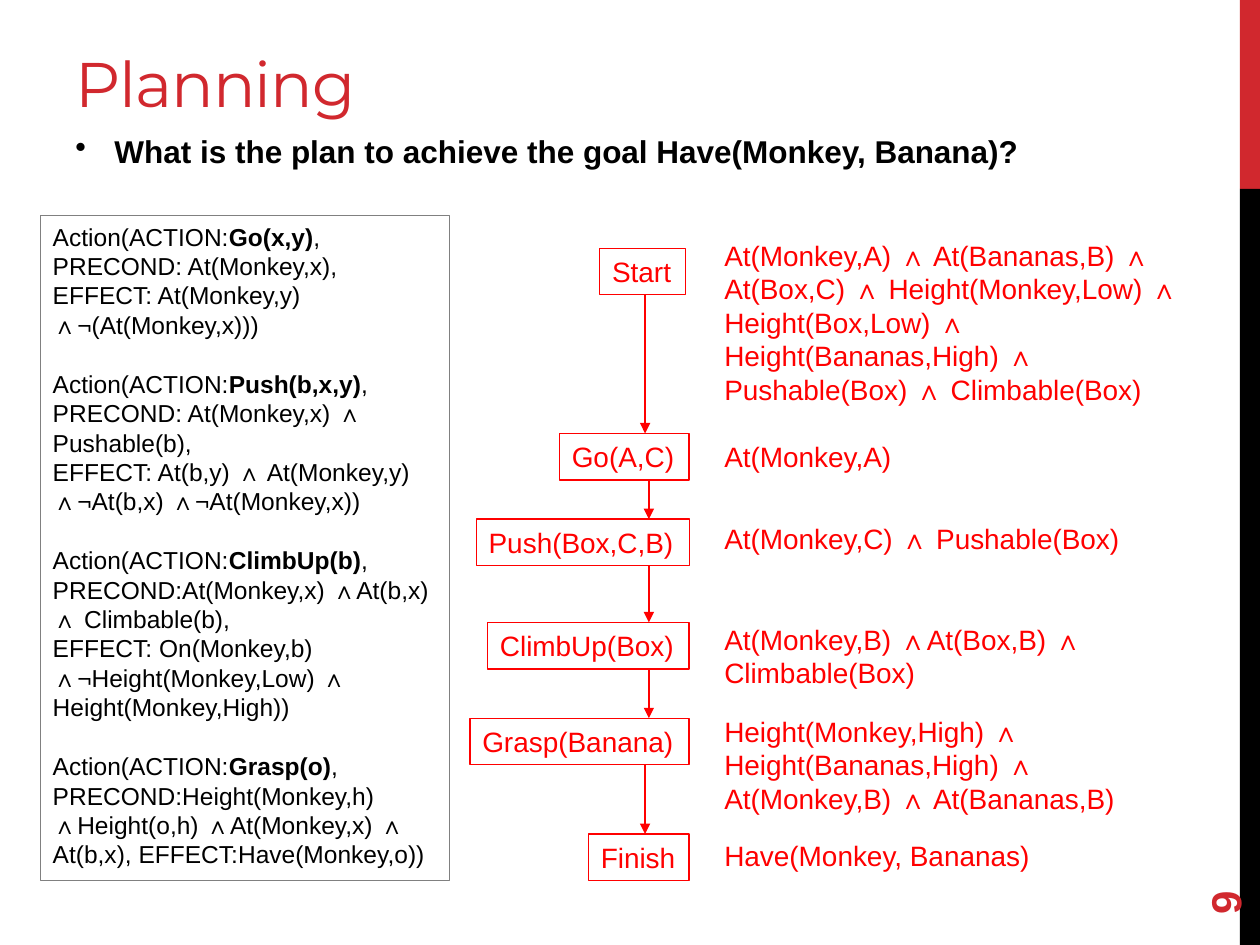
from dataclasses import dataclass
from lxml.etree import SubElement as sub
from pptx import Presentation
from pptx.dml.color import RGBColor as RGB
from pptx.enum.shapes import MSO_CONNECTOR as LINK, MSO_SHAPE as SHAPE
from pptx.enum.text import MSO_ANCHOR as ANCHOR, PP_ALIGN as ALIGN
from pptx.oxml.ns import qn
from pptx.util import Inches, Pt


@dataclass(frozen=True)
class Theme:
    accent: RGB = RGB(0xD1, 0x28, 0x2E)
    plan: RGB = RGB(0xFF, 0, 0)
    ink: RGB = RGB(0, 0, 0)
    frame: RGB = RGB(0x80, 0x80, 0x80)
    font: str = "Arial"
    title_font: str = "Montserrat"
    title: int = 36
    number: int = 24
    question: int = 18
    step: int = 16
    action: int = 14
    leading: float = 1.2


theme = Theme()
deck = Presentation()
deck.slide_width, deck.slide_height = Inches(10), Inches(7.5)
page = deck.slides.add_slide(deck.slide_layouts[6])


def add_box(left, top, width, height, fill=None, line=None):
    box = page.shapes.add_shape(SHAPE.RECTANGLE, *map(Inches, (left, top, width, height)))
    box.shadow.inherit = False
    if fill is None:
        box.fill.background()
    else:
        box.fill.solid()
        box.fill.fore_color.rgb = fill
    if line is None:
        box.line.fill.background()
    else:
        box.line.color.rgb = line
        box.line.width = Pt(0.75)
    box.text_frame.word_wrap = True
    box.text_frame.vertical_anchor = ANCHOR.TOP
    return box


def write(para, text, size, color, bold=False, name=theme.font):
    para.alignment = ALIGN.LEFT
    para.font.size = Pt(size)
    para.font.name = name
    para.font.bold = bold
    para.font.color.rgb = color
    span = para.add_run()
    span.text = text
    return span


add_box(9.84, 0, 0.16, 1.5, fill=theme.accent)
add_box(9.84, 1.5, 0.16, 6, fill=theme.ink)

title = add_box(0.5, -0.25, 8.24, 1.25).text_frame
title.vertical_anchor = ANCHOR.BOTTOM
span = write(title.paragraphs[0], "Planning", theme.title, theme.accent, name=theme.title_font)
span._r.get_or_add_rPr().set("spc", "-60")

para = add_box(0.5, 1, 8.51, 0.49).text_frame.paragraphs[0]
write(para, "What is the plan to achieve the goal Have(Monkey, Banana)?",
      theme.question, theme.ink, bold=True)
bullet = para._p.get_or_add_pPr()
bullet.set("marL", str(Inches(0.31)))
bullet.set("indent", str(Inches(-0.31)))
mark = bullet.makeelement(qn("a:buChar"), {"char": "•"})
bullet.insert_element_before(mark, "a:tabLst", "a:defRPr", "a:extLst")

number = add_box(9, 6.44, 1.44, 0.4)
number.rotation = 270
number.text_frame.vertical_anchor = ANCHOR.MIDDLE
write(number.text_frame.paragraphs[0], "9", theme.number, theme.accent, bold=True)

actions = [
    ("Go(x,y)", ",", ["PRECOND: At(Monkey,x),",
                      "EFFECT: At(Monkey,y)  ∧¬(At(Monkey,x)))"]),
    ("Push(b,x,y)", ",", ["PRECOND: At(Monkey,x) ∧ Pushable(b),",
                          "EFFECT: At(b,y) ∧ At(Monkey,y) ∧¬At(b,x) ∧¬At(Monkey,x))"]),
    ("ClimbUp(b)", ",", ["PRECOND:At(Monkey,x) ∧At(b,x) ∧ Climbable(b),",
                         "EFFECT: On(Monkey,b) ∧¬Height(Monkey,Low) ∧ Height(Monkey,High))"]),
    ("Grasp(o)", ", PRECOND:Height(Monkey,h) ∧Height(o,h) ∧At(Monkey,x) ∧ At(b,x), "
                 "EFFECT:Have(Monkey,o))", []),
]
frame = add_box(0.32, 1.71, 3.25, 5.28, line=theme.frame).text_frame
action_leading = Pt(theme.action * theme.leading)
for index, (name, tail, clauses) in enumerate(actions):
    para = frame.add_paragraph() if index else frame.paragraphs[0]
    para.line_spacing = action_leading
    if index:
        para.space_before = action_leading
    write(para, "Action(ACTION:", theme.action, theme.ink)
    span = para.add_run()
    span.text = name
    span.font.bold = True
    para.add_run().text = tail
    for clause in clauses:
        para = frame.add_paragraph()
        para.line_spacing = action_leading
        write(para, clause, theme.action, theme.ink)

steps = [
    ("Start", 4.76, 1.97, 0.68, 1.84, 4.07, 1.45,
     "At(Monkey,A) ∧ At(Bananas,B) ∧ At(Box,C) ∧ Height(Monkey,Low) ∧ Height(Box,Low) ∧ "
     "Height(Bananas,High) ∧ Pushable(Box) ∧ Climbable(Box)"),
    ("Go(A,C)", 4.44, 3.44, 1.03, 3.44, 1.59, 0.37, "At(Monkey,A)"),
    ("Push(Box,C,B)", 3.78, 4.12, 1.69, 4.09, 3.36, 0.37, "At(Monkey,C) ∧ Pushable(Box)"),
    ("ClimbUp(Box)", 3.87, 4.94, 1.6, 4.89, 3.36, 0.64,
     "At(Monkey,B) ∧At(Box,B) ∧ Climbable(Box)"),
    ("Grasp(Banana)", 3.73, 5.7, 1.74, 5.62, 3.36, 0.91,
     "Height(Monkey,High) ∧ Height(Bananas,High) ∧ At(Monkey,B) ∧ At(Bananas,B)"),
    ("Finish", 4.67, 6.62, 0.8, 6.61, 2.65, 0.37, "Have(Monkey, Bananas)"),
]
step_height = 0.37
for name, left, top, width, state_top, state_width, state_height, state in steps:
    step = add_box(left, top, width, step_height, line=theme.plan).text_frame
    step.word_wrap = False
    facts = add_box(5.65, state_top, state_width, state_height).text_frame
    for holder, text in ((step, name), (facts, state)):
        para = holder.paragraphs[0]
        para.line_spacing = Pt(theme.step * theme.leading)
        write(para, text, theme.step, theme.plan)

for before, after in zip(steps, steps[1:]):
    x = 5.12 if before[0] == "Start" or after[0] == "Finish" else 5.15
    arrow = page.shapes.add_connector(
        LINK.STRAIGHT, *map(Inches, (x, before[2] + step_height, x, after[2])))
    arrow.line.color.rgb = theme.plan
    arrow.line.width = Pt(1)
    sub(arrow.line._get_or_add_ln(), qn("a:tailEnd"), type="triangle")
    sub(arrow._element.spPr, qn("a:effectLst"))

deck.save("out.pptx")
